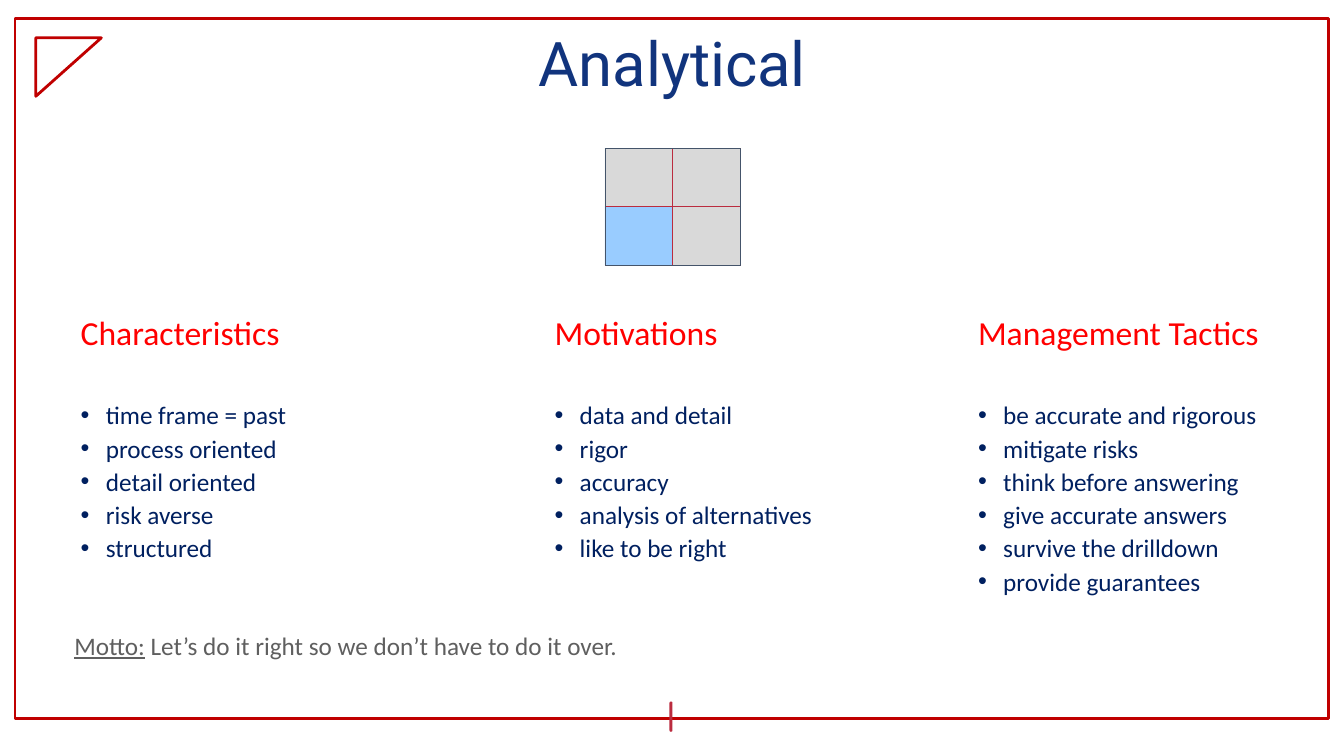
"""Build the Analytical style slide with its three lists, quadrant grid and motto."""
from lxml.etree import SubElement
from pptx import Presentation
from pptx.dml.color import RGBColor
from pptx.enum.shapes import MSO_SHAPE
from pptx.enum.text import MSO_ANCHOR, MSO_AUTO_SIZE, PP_ALIGN
from pptx.oxml.ns import qn
from pptx.util import Inches, Pt


def add_outlined(g, box, line=None, width=0, fill=None):
    sp = slide.shapes.add_shape(g, *map(Inches, box))
    sp.shadow.inherit = False
    if fill:
        sp.fill.solid()
        sp.fill.fore_color.rgb = RGBColor.from_string(fill)
    else:
        sp.fill.background()
    if line:
        sp.line.color.rgb = RGBColor.from_string(line)
        sp.line.width = Pt(width)
    else:
        sp.line.fill.background()
    return sp


def add_run(p, text, size, color, font="Calibri", underline=False):
    r = p.add_run()
    r.text = text
    r.font.size = Pt(size)
    r.font.name = font
    r.font.bold = False
    r.font.underline = underline
    r.font.color.rgb = RGBColor.from_string(color)


prs = Presentation()
prs.slide_width, prs.slide_height = Inches(13.33), Inches(7.5)
slide = prs.slides.add_slide(prs.slide_layouts.get_by_name("Comparison"))
title, *bodies = [sp for sp in slide.placeholders if sp.placeholder_format.idx < 5]

add_outlined(MSO_SHAPE.RECTANGLE, (0.15, 0.18, 13.03, 6.95), "C00000", 2)
corner = add_outlined(MSO_SHAPE.RIGHT_TRIANGLE, (0.39, 0.34, 0.58, 0.65), "C00000", 2)
corner.rotation = 90
tick = add_outlined(MSO_SHAPE.ROUND_2_DIAG_RECTANGLE, (6.64, 6.96, 0.03, 0.3), fill="BB2C3F")
tick.adjustments[0] = tick.adjustments[1] = 0.5

columns = [
    (0.7, 3.17, "Characteristics",
     ["time frame = past", "process oriented", "detail oriented", "risk averse", "structured"]),
    (5.4, 2.77, "Motivations",
     ["data and detail", "rigor", "accuracy", "analysis of alternatives", "like to be right"]),
    (9.6, 3.01, "Management Tactics",
     ["be accurate and rigorous", "mitigate risks", "think before answering",
      "give accurate answers", "survive the drilldown", "provide guarantees"]),
]
boxes = [(0.16, 0.19, 13.02, 0.8)]
boxes += [(left, 3, width, 2.99) for left, width, _, _ in columns]
boxes += [(0.6, 6.2, 5.66, 0.4)]
for sp, box in zip([title, *bodies], boxes):
    sp.left, sp.top, sp.width, sp.height = map(Inches, box)
    tf = sp.text_frame
    tf.auto_size = MSO_AUTO_SIZE.NONE
    tf.word_wrap = True
    tf.vertical_anchor = MSO_ANCHOR.TOP

tf = title.text_frame
tf.vertical_anchor = MSO_ANCHOR.BOTTOM
tf.margin_left = tf.margin_right = Inches(0.05)
tf.margin_top = tf.margin_bottom = 0
p = tf.paragraphs[0]
p.alignment = PP_ALIGN.CENTER
p.line_spacing = 0.9
add_run(p, "Analytical", 44, "11347D", "Roboto")

for sp, (_, _, heading, items) in zip(bodies, columns):
    tf = sp.text_frame
    for i, text in enumerate([heading, *items]):
        p = tf.add_paragraph() if i else tf.paragraphs[0]
        pPr = p._p.get_or_add_pPr()
        pPr.set("marL", str(Inches(0.25)))
        pPr.set("indent", str(Inches(-0.25)))
        if i:
            SubElement(pPr, qn("a:buFont"), typeface="Arial")
            SubElement(pPr, qn("a:buChar"), char="•")
        else:
            SubElement(pPr, qn("a:buNone"))
        p.line_spacing = 1.1
        p.space_before = Pt(32 if i == 1 else 0)
        add_run(p, text, 18 if i else 24, "002060" if i else "FF0000")

tf = bodies[3].text_frame
tf.word_wrap = False
p = tf.paragraphs[0]
pPr = p._p.get_or_add_pPr()
pPr.set("marL", "0")
pPr.set("indent", "0")
SubElement(pPr, qn("a:buNone"))
p.alignment = PP_ALIGN.CENTER
p.space_before = Pt(0)
add_run(p, "Motto:", 18, "5F5F5F", underline=True)
add_run(p, " Let’s do it right so we don’t have to do it over.", 18, "5F5F5F")

cell_w, cell_h = 0.67, 0.58
for row in range(2):
    for col in range(2):
        fill = "99CCFF" if (row, col) == (1, 0) else "D9D9D9"
        add_outlined(MSO_SHAPE.RECTANGLE,
                     (6 + col * cell_w, 1.47 + row * cell_h, cell_w, cell_h),
                     "BB2C3F", 0.5, fill)
add_outlined(MSO_SHAPE.RECTANGLE, (6, 1.47, 2 * cell_w, 2 * cell_h), "44546A", 0.5)

prs.save("out.pptx")
